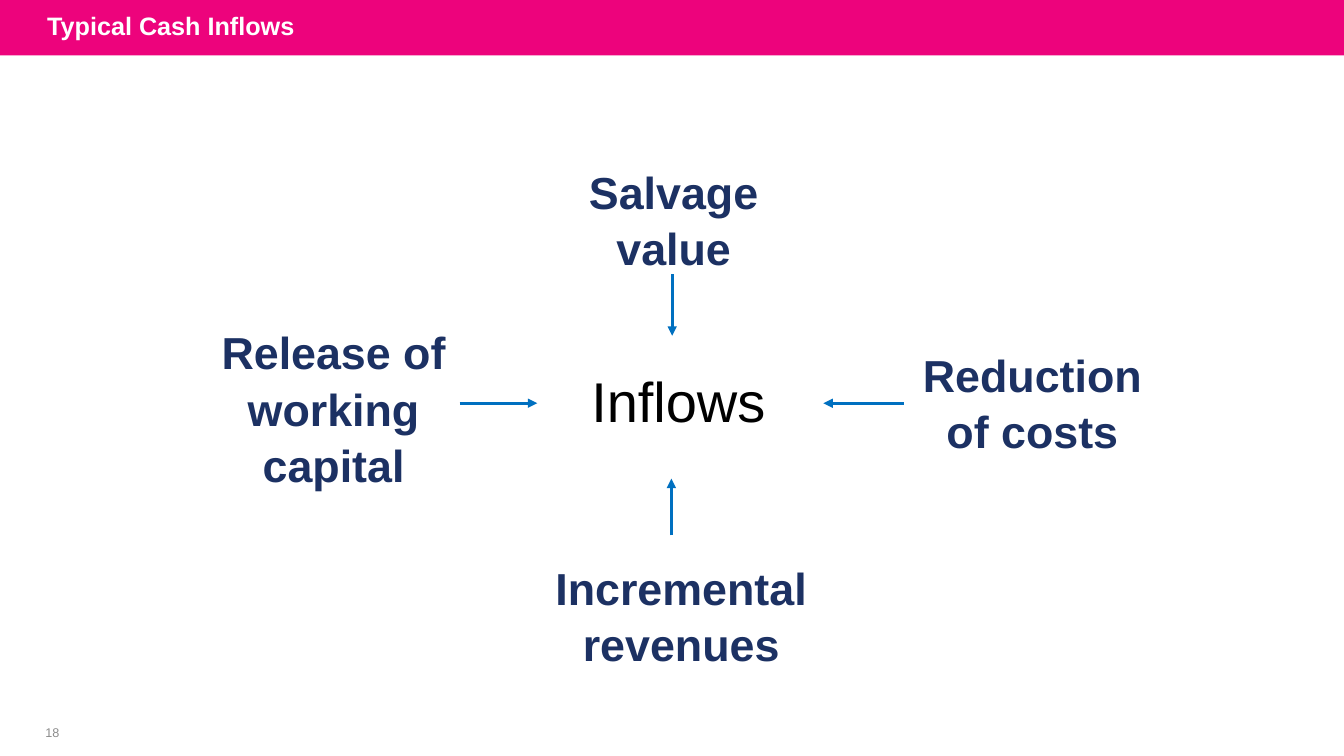
"""Build a slide of four cash inflows that point to a hub."""
import pptx
import pptx.dml.color
import pptx.enum.shapes
import pptx.enum.text
import pptx.oxml
import pptx.oxml.ns
import pptx.util

Cm = pptx.util.Cm
Pt = pptx.util.Pt
ALIGN = pptx.enum.text.PP_ALIGN
ANCHOR = pptx.enum.text.MSO_ANCHOR

TITLE = "Typical Cash Inflows"
HUB = "Inflows"
PAGE = "18"
FLOWS = [
    {"text": "Reduction\nof costs", "mid": (26.02, 10.06), "wide": 6.07,
     "tail": (22.78, 10.16), "tip": (20.75, 10.16)},
    {"text": "Salvage\nvalue", "mid": (16.98, 5.44), "wide": 4.8,
     "tail": (16.94, 6.91), "tip": (16.94, 8.46)},
    {"text": "Incremental\nrevenues", "mid": (17.17, 15.42), "wide": 6.91,
     "tail": (16.92, 13.49), "tip": (16.92, 12.06)},
    {"text": "Release of\nworking\ncapital", "mid": (8.41, 10.17), "wide": 6.2,
     "tail": (11.58, 10.16), "tip": (13.54, 10.16)},
]
THEME = {
    "font": "Arial", "band": "ED037C", "white": "FFFFFF", "navy": "1C3163",
    "blue": "0070C0", "black": "000000", "grey": "8C8C8C",
    "title": 18, "label": 32, "hub": 40, "page": 9,
    "line": 2.25, "lead": 1.05,
}
WIDE, HIGH = 33.87, 19.05
ROW, PAD = 1.36, 0.26


def tint(name):
    return pptx.dml.color.RGBColor.from_string(THEME[name])


def add_text(slide, text, box, size, color, bold=False,
             align=ALIGN.CENTER, anchor=ANCHOR.TOP, wrap=True):
    frame = slide.shapes.add_textbox(*map(Cm, box)).text_frame
    frame.text = text
    frame.word_wrap = wrap
    frame.vertical_anchor = anchor
    for para in frame.paragraphs:
        para.alignment = align
        para.line_spacing = THEME["lead"]
        for run in para.runs:
            run.font.name = THEME["font"]
            run.font.size = Pt(THEME[size])
            run.font.bold = bold
            run.font.color.rgb = tint(color)


def add_arrow(slide, tail, tip):
    kind = pptx.enum.shapes.MSO_CONNECTOR.STRAIGHT
    arrow = slide.shapes.add_connector(kind, *map(Cm, tail + tip))
    arrow.line.color.rgb = tint("blue")
    arrow.line.width = Pt(THEME["line"])
    head = pptx.oxml.parse_xml(
        f'<a:tailEnd {pptx.oxml.ns.nsdecls("a")} type="triangle"/>')
    arrow.line._get_or_add_ln().append(head)
    arrow._element.spPr.append(
        pptx.oxml.parse_xml(f'<a:effectLst {pptx.oxml.ns.nsdecls("a")}/>'))


def main():
    deck = pptx.Presentation()
    deck.slide_width, deck.slide_height = Cm(WIDE), Cm(HIGH)
    slide = deck.slides.add_slide(deck.slide_layouts[6])

    rect = pptx.enum.shapes.MSO_SHAPE.RECTANGLE
    band = slide.shapes.add_shape(rect, 0, 0, Cm(WIDE), Cm(1.4))
    band.shadow.inherit = False
    band.fill.solid()
    band.fill.fore_color.rgb = tint("band")
    band.line.fill.background()
    add_text(slide, TITLE, (0.94, 0, 26.67, 1.26), "title", "white",
             bold=True, align=ALIGN.LEFT, anchor=ANCHOR.MIDDLE)

    for flow in FLOWS:
        x, y = flow["mid"]
        wide = flow["wide"]
        high = len(flow["text"].split("\n")) * ROW + PAD
        box = (x - wide / 2, y - high / 2, wide, high)
        add_text(slide, flow["text"], box, "label", "navy",
                 bold=True, wrap=False)
        add_arrow(slide, flow["tail"], flow["tip"])

    add_text(slide, HUB, (13.92, 9.02, 6.35, 1.96), "hub", "black")
    add_text(slide, PAGE, (0.66, 18.14, 1.32, 0.6), "page", "grey",
             anchor=ANCHOR.MIDDLE)
    deck.save("out.pptx")


if __name__ == "__main__":
    main()
